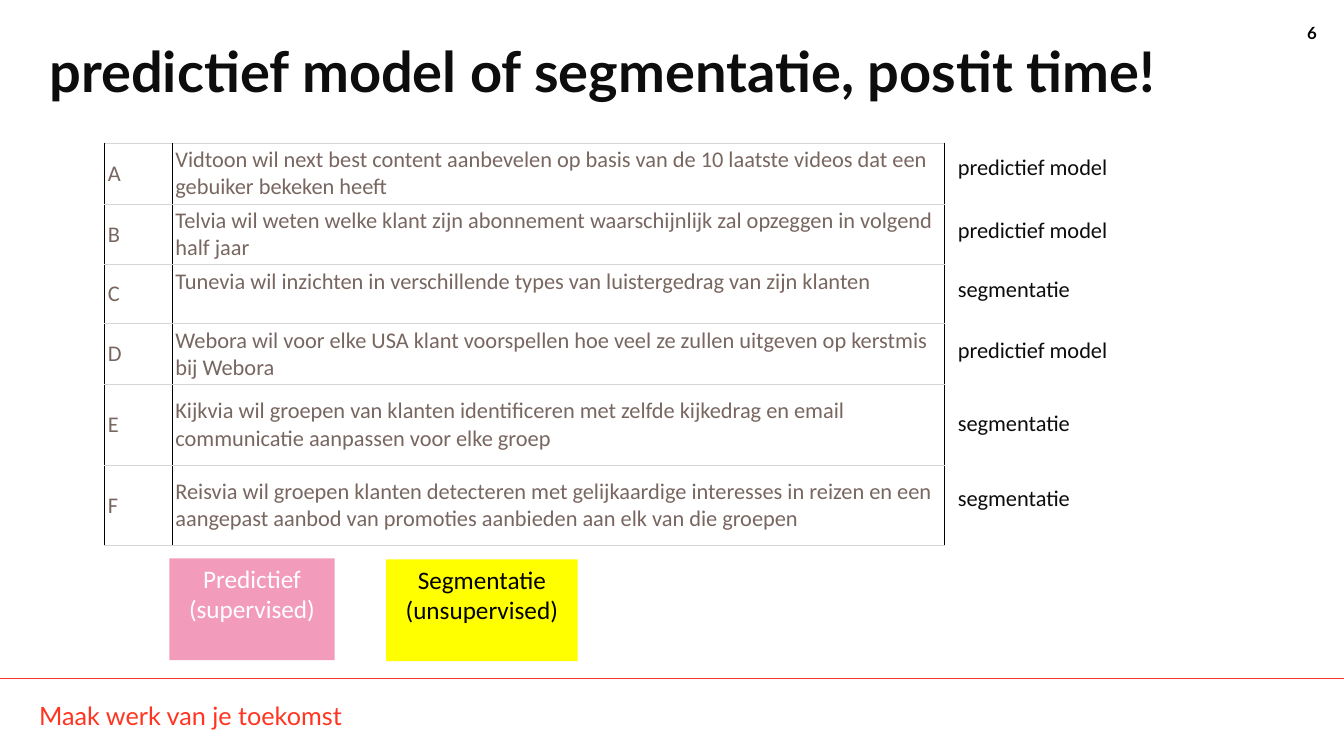
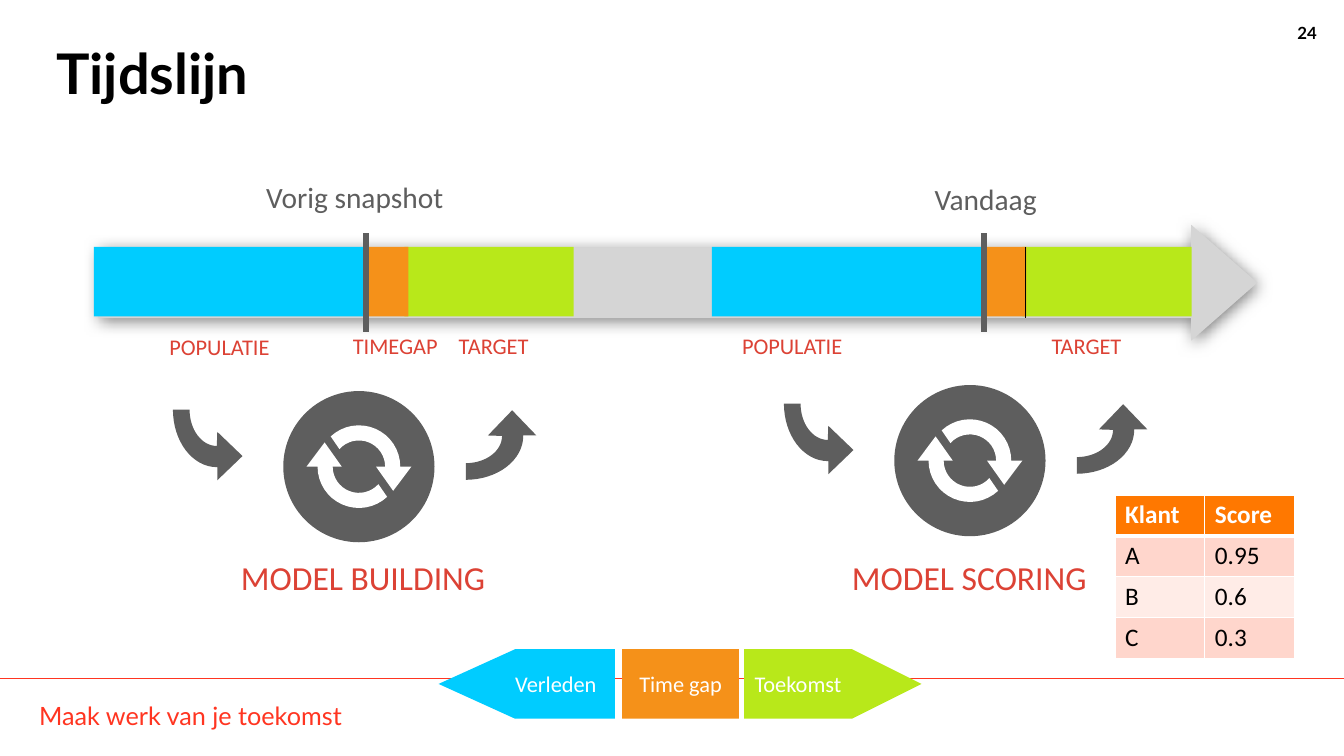
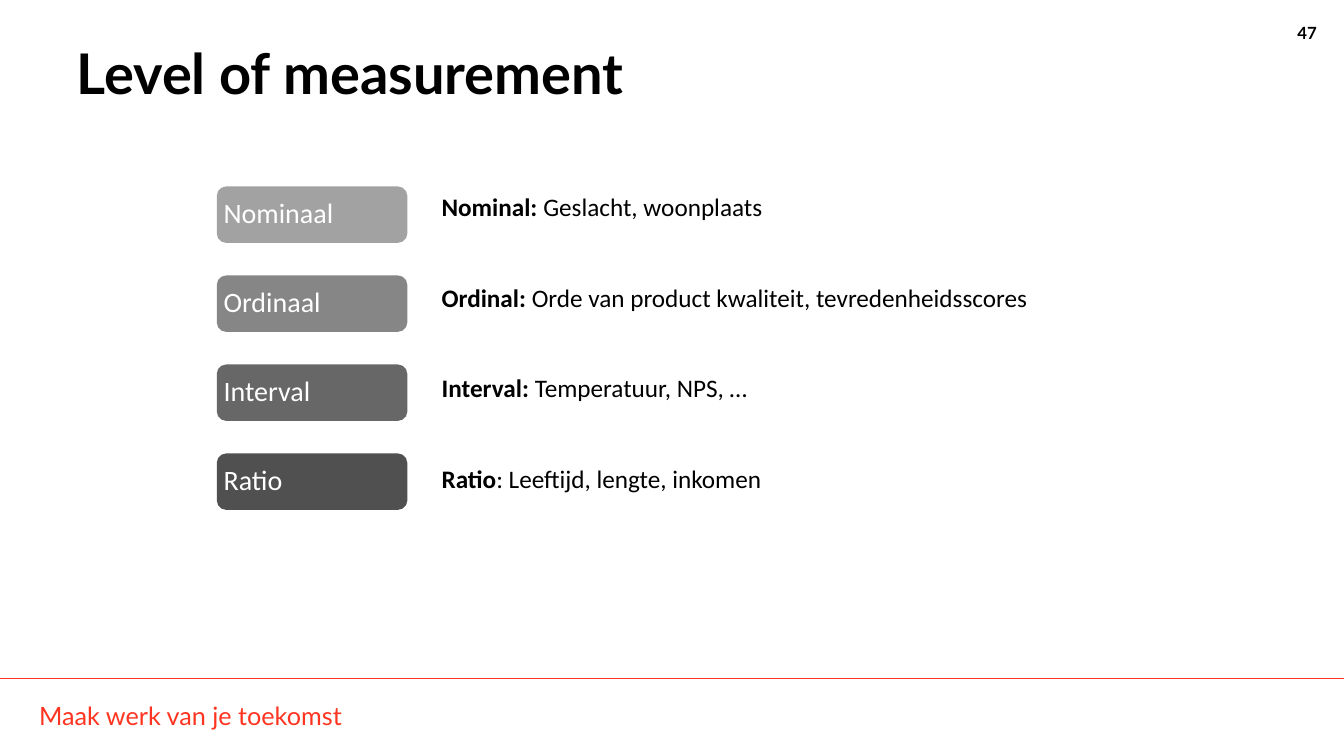
from math import cos, radians, sin

from lxml import etree
from pptx import Presentation
from pptx.dml.color import RGBColor
from pptx.enum.shapes import MSO_CONNECTOR, MSO_SHAPE
from pptx.enum.text import MSO_ANCHOR, MSO_AUTO_SIZE, PP_ALIGN
from pptx.oxml.ns import qn
from pptx.util import Inches, Pt

RECT = MSO_SHAPE.RECTANGLE
ROUNDED = MSO_SHAPE.ROUNDED_RECTANGLE
ARROW = MSO_SHAPE.RIGHT_ARROW
OVAL = MSO_SHAPE.OVAL
STRAIGHT = MSO_CONNECTOR.STRAIGHT
TOP, MIDDLE = MSO_ANCHOR.TOP, MSO_ANCHOR.MIDDLE
LEFT, CENTER, RIGHT = PP_ALIGN.LEFT, PP_ALIGN.CENTER, PP_ALIGN.RIGHT
FIXED_SIZE = MSO_AUTO_SIZE.NONE

BLACK = RGBColor(0x00, 0x00, 0x00)
INK = RGBColor(0x0D, 0x0D, 0x0D)
WHITE = RGBColor(0xFF, 0xFF, 0xFF)
RED = RGBColor(0xFF, 0x35, 0x21)
LABEL_RED = RGBColor(0xDC, 0x42, 0x35)
TAUPE = RGBColor(0x78, 0x66, 0x60)
SILVER = RGBColor(0xD5, 0xD5, 0xD5)
GRAY = RGBColor(0x5E, 0x5E, 0x5E)
PINK = RGBColor(0xF3, 0x9B, 0xBA)
YELLOW = RGBColor(0xFF, 0xFF, 0x00)
BLUE = RGBColor(0x00, 0xCC, 0xFF)
LIME = RGBColor(0xB8, 0xE8, 0x1A)
ORANGE = RGBColor(0xF5, 0x91, 0x19)
HEADER_ORANGE = RGBColor(0xFF, 0x78, 0x00)
BAND_DARK = RGBColor(0xFF, 0xD6, 0xCC)
BAND_LIGHT = RGBColor(0xFF, 0xEC, 0xE7)
LEVEL_GRAYS = [RGBColor(shade, shade, shade) for shade in (0xA2, 0x86, 0x67, 0x50)]

COLUMNS, ROWS = 133.3, 75
TITLE_ONLY, TITLE_AND_BODY = 5, 1


def arc(center, radii, start, end, steps=16):
    angles = [radians(start + (end - start) * i / steps) for i in range(steps + 1)]
    return [(center[0] + radii[0] * cos(a), center[1] + radii[1] * sin(a)) for a in angles]


class Deck:
    head_font = "Lato"
    body_font = "Calibri"

    def __init__(self):
        self.show = Presentation()
        self.show.slide_width, self.show.slide_height = Inches(13.33), Inches(7.5)
        self.column = self.show.slide_width / COLUMNS
        self.row = self.show.slide_height / ROWS
        self.page = None

    def x(self, columns):
        return round(columns * self.column)

    def y(self, rows):
        return round(rows * self.row)

    def place(self, left, top, width, height):
        return self.x(left), self.y(top), self.x(width), self.y(height)

    def move(self, holder, area):
        holder.left, holder.top, holder.width, holder.height = self.place(*area)

    def span(self, para, text, size, color, bold=False, font=None):
        run = para.add_run()
        run.text = text
        run.font.name = font or self.body_font
        run.font.size = Pt(size)
        run.font.bold = bold
        run.font.color.rgb = color

    def frame(self, box, inset=None, anchor=TOP):
        frame = box.text_frame
        frame.word_wrap = True
        frame.auto_size = FIXED_SIZE
        frame.vertical_anchor = anchor
        if inset is not None:
            frame.margin_left = frame.margin_right = self.x(inset)
            frame.margin_top = frame.margin_bottom = self.y(inset)
        return frame

    def paragraphs(self, box, lines, size, color, align=LEFT, inset=None, anchor=TOP,
                   bold=False, font=None):
        frame = self.frame(box, inset, anchor)
        for i, line in enumerate(lines):
            para = frame.add_paragraph() if i else frame.paragraphs[0]
            para.alignment = align
            self.span(para, line, size, color, bold, font)

    def new_page(self, layout, title, number, area, color=BLACK):
        self.page = self.show.slides.add_slide(self.show.slide_layouts[layout])
        self.text((2.9, 69, 85, 4), "Maak werk van je toekomst", 18, RED,
                  font=self.head_font)
        self.line((0, 67.3), (COLUMNS, 67.3), RED, 0.5)
        self.text((126.7, 1.8, 4.9, 3), str(number), 12, BLACK, align=RIGHT, bold=True,
                  font=self.head_font)
        holder = self.page.shapes.title
        self.move(holder, area)
        self.paragraphs(holder, [title], 40, color, bold=True, font=self.head_font)
        holder.text_frame.paragraphs[0].line_spacing = 0.9

    def text(self, area, text, size, color, **style):
        box = self.page.shapes.add_textbox(*self.place(*area))
        self.paragraphs(box, [text], size, color, **style)

    def label(self, left, top, width, text, size=16, color=LABEL_RED):
        height = size * 0.17 + 0.6
        self.text((left, top, width, height), text, size, color, inset=0.3, anchor=MIDDLE)

    def paint(self, shape, fill):
        shape.shadow.inherit = False
        shape.fill.solid()
        shape.fill.fore_color.rgb = fill
        shape.line.fill.background()
        return shape

    def shape(self, kind, area, fill):
        return self.paint(self.page.shapes.add_shape(kind, *self.place(*area)), fill)

    def outline(self, contours, fill):
        rings = [[(self.x(x), self.y(y)) for x, y in contour] for contour in contours]
        builder = self.page.shapes.build_freeform(*rings[0][0])
        for i, points in enumerate(rings):
            if i:
                builder.move_to(*points[0])
            builder.add_line_segments(points[1:], close=True)
        return self.paint(builder.convert_to_shape(), fill)

    def line(self, start, end, color, width):
        line = self.page.shapes.add_connector(
            STRAIGHT, self.x(start[0]), self.y(start[1]), self.x(end[0]), self.y(end[1]))
        line.line.color.rgb = color
        line.line.width = Pt(width)
        etree.SubElement(line._element.spPr, qn("a:effectLst"))

    def soft_shadow(self, shape):
        effects = shape._element.spPr.find(qn("a:effectLst"))
        shadow = etree.SubElement(effects, qn("a:outerShdw"), blurRad=str(Pt(11)),
                                  dist=str(Pt(2)), dir="5400000", rotWithShape="0")
        color = etree.SubElement(shadow, qn("a:srgbClr"), val=str(BLACK))
        etree.SubElement(color, qn("a:alpha"), val="50000")

    def table(self, area, widths, heights):
        table = self.page.shapes.add_table(
            len(heights), len(widths), *self.place(*area)).table
        table.first_row = table.horz_banding = False
        for column, width in zip(table.columns, widths):
            column.width = self.x(width)
        for row, height in zip(table.rows, heights):
            row.height = self.y(height)
        return table

    def cell(self, cell, text, size, color, borders, fill=None, bold=False,
             inset=None, anchor=TOP):
        if inset is not None:
            cell.margin_left = cell.margin_right = self.x(inset)
            cell.margin_top = cell.margin_bottom = self.y(inset)
        cell.vertical_anchor = anchor
        self.span(cell.text_frame.paragraphs[0], text, size, color, bold)
        properties = cell._tc.get_or_add_tcPr()
        for side, (line_color, width) in zip(("lnL", "lnR", "lnT", "lnB"), borders):
            edge = etree.SubElement(properties, qn("a:" + side), w=str(Pt(width)))
            paint = etree.SubElement(edge, qn("a:solidFill"))
            etree.SubElement(paint, qn("a:srgbClr"), val=str(line_color))
        if fill is None:
            cell.fill.background()
        else:
            cell.fill.solid()
            cell.fill.fore_color.rgb = fill

    def swoosh(self, left, top, turn=0):
        corner = (left, top + 2.55)
        points = [(left + 4.6, top), (left + 7, top + 2.5), (left + 5.7, top + 2.5)]
        points += arc(corner, (5.7, 4.35), 0, 90)
        points += arc(corner, (3.6, 2.7), 90, 0)
        points.append((left + 2.2, top + 2.5))
        self.outline([points], GRAY).rotation = turn

    def cycle(self, x, y):
        half = arc((0, 0), (4.1, 4.1), 227, 360)
        half += [(5.2, 0), (3.4, 2.4), (1.7, 0)]
        half += arc((0, 0), (2.6, 2.6), 360, 222)
        self.outline([[(x + sign * dx, y + sign * dy) for dx, dy in half]
                      for sign in (1, -1)], WHITE)

    def model(self, left, top, caption, caption_left):
        self.shape(OVAL, (left, top, 15, 15), GRAY)
        self.swoosh(left - 11, top + 1.9, 90)
        self.swoosh(left + 18.1, top + 1.9)
        self.cycle(left + 7.5, top + 7.5)
        self.label(caption_left, 54.9, 27, caption, 24)

    def definitions(self, area, items, size, gap):
        holder = self.page.placeholders[1]
        self.move(holder, area)
        frame = self.frame(holder)
        for i, (term, rest) in enumerate(items):
            para = frame.add_paragraph() if i else frame.paragraphs[0]
            properties = para._p.get_or_add_pPr()
            properties.set("marL", "0")
            properties.set("indent", "0")
            etree.SubElement(properties, qn("a:buNone"))
            para.space_before = Pt(gap if i else 0)
            self.span(para, term, size, BLACK, True)
            self.span(para, rest, size, BLACK)


def cases_page(deck):
    deck.new_page(TITLE_ONLY, "predictief model of segmentatie, postit time!", 6,
                  (3.9, 3.9, 122.8, 9), INK)
    predictive, segment = "predictief model", "segmentatie"
    cases = [
        ("Vidtoon wil next best content aanbevelen op basis van de 10 laatste videos "
         "dat een gebuiker bekeken heeft", predictive, 14.7, MIDDLE),
        ("Telvia wil weten welke klant zijn abonnement waarschijnlijk zal opzeggen in "
         "volgend half jaar", predictive, 20.9, MIDDLE),
        ("Tunevia wil inzichten in verschillende types van luistergedrag van zijn klanten",
         segment, 26.8, TOP),
        ("Webora wil voor elke USA klant voorspellen hoe veel ze zullen uitgeven op "
         "kerstmis bij Webora", predictive, 32.8, MIDDLE),
        ("Kijkvia wil groepen van klanten identificeren met zelfde kijkedrag en email "
         "communicatie aanpassen voor elke groep", segment, 40.1, MIDDLE),
        ("Reisvia wil groepen klanten detecteren met gelijkaardige interesses in reizen "
         "en een aangepast aanbod van promoties aanbieden aan elk van die groepen",
         segment, 47.5, MIDDLE),
    ]
    table = deck.table((10.4, 14.2, 83.3, 39.4), (6.7, 76.6), [5.85] * 4 + [8] * 2)
    borders = [(BLACK, 0.75)] * 2 + [(SILVER, 0.75)] * 2
    for i, (case, answer, top, anchor) in enumerate(cases):
        deck.cell(table.cell(i, 0), "ABCDEF"[i], 16, TAUPE, borders, inset=0.3,
                  anchor=MIDDLE)
        deck.cell(table.cell(i, 1), case, 16, TAUPE, borders, inset=0.3, anchor=anchor)
        deck.label(94.7, top + 0.2, 20, answer, color=INK)
    notes = [
        ((16.8, 55.4, 16.4, 10.1), PINK, WHITE, ["Predictief", "(supervised)"]),
        ((38.3, 55.5, 19, 10.1), YELLOW, BLACK, ["Segmentatie", "(unsupervised)"]),
    ]
    for area, fill, color, lines in notes:
        deck.paragraphs(deck.shape(RECT, area, fill), lines, 18, color, CENTER)


def timeline_page(deck):
    deck.new_page(TITLE_ONLY, "Tijdslijn", 24, (4.6, 4.1, 122.8, 9))
    arrow = deck.shape(ARROW, (9.8, 22.3, 114.9, 11.5), SILVER)
    arrow.adjustments[0], arrow.adjustments[1] = 0.61, 0.57
    deck.soft_shadow(arrow)
    for shift in (0, 61.3):
        for left, width, fill in ((9.3, 27.1, BLUE), (40.1, 16.8, LIME), (36.2, 4.3, ORANGE)):
            deck.shape(RECT, (left + shift, 24.5, width, 6.9), fill)
        deck.line((36.3 + shift, 32.9), (36.3 + shift, 23.1), GRAY, 4)
    deck.line((101.7, 31.5), (101.7, 24.5), BLACK, 0.5)
    deck.label(26.1, 17.4, 22, "Vorig snapshot", 21, GRAY)
    deck.label(92.4, 17.6, 16, "Vandaag", 21, GRAY)
    for left, top, text in ((16.5, 32.7, "POPULATIE"), (34.7, 32.6, "TIMEGAP"),
                            (45.2, 32.6, "TARGET"), (73.3, 32.6, "POPULATIE"),
                            (104, 32.6, "TARGET")):
        deck.label(left, top, 16, text)
    deck.model(28.1, 38.8, "MODEL BUILDING", 23.6)
    deck.model(88.7, 38.2, "MODEL SCORING", 84.2)

    legend_top, legend_height = 64.4, 6.9
    middle, bottom = legend_top + legend_height / 2, legend_top + legend_height
    for tip, base, fill in ((43.5, 51.1, BLUE), (91.4, 84.5, LIME)):
        deck.outline([[(tip, middle), (base, legend_top), (base, bottom)]], fill)
    for left, width, fill, text, align in ((51.1, 9.9, BLUE, "Verleden", LEFT),
                                           (61.7, 11.6, ORANGE, "Time gap", CENTER),
                                           (73.8, 10.7, LIME, "Toekomst", CENTER)):
        box = deck.shape(RECT, (left, legend_top, width, legend_height), fill)
        deck.paragraphs(box, [text], 16, WHITE, align, 0, MIDDLE)

    scores = [("Klant", "Score"), ("A", "0.95"), ("B", "0.6"), ("C", "0.3")]
    table = deck.table((110.6, 49.1, 17.8, 16.2), (8.9, 8.9), [4.05] * 4)
    for i, values in enumerate(scores):
        header = i == 0
        fill = HEADER_ORANGE if header else BAND_DARK if i % 2 else BAND_LIGHT
        borders = [(WHITE, 1), (WHITE, 1), (WHITE, 3 if i == 1 else 1),
                   (WHITE, 3 if header else 1)]
        for j, value in enumerate(values):
            deck.cell(table.cell(i, j), value, 18, WHITE if header else BLACK, borders,
                      fill, header)


def levels_page(deck):
    deck.new_page(TITLE_AND_BODY, "Level of measurement", 47, (6.6, 4.1, 123.1, 9))
    levels = ("Nominaal", "Ordinaal", "Interval", "Ratio")
    for i, (level, fill) in enumerate(zip(levels, LEVEL_GRAYS)):
        box = deck.shape(ROUNDED, (21.5, 18.5 + 8.83 * i, 18.9, 5.6), fill)
        deck.paragraphs(box, [level], 20, WHITE, inset=0.4, anchor=MIDDLE)
        box.text_frame.paragraphs[0].line_spacing = 0.9
    deck.definitions((42.8, 18.5, 66.7, 34.3), [
        ("Nominal: ", "Geslacht, woonplaats"),
        ("Ordinal: ", "Orde van product kwaliteit, tevredenheidsscores"),
        ("Interval: ", "Temperatuur, NPS, …"),
        ("Ratio", ": Leeftijd, lengte, inkomen"),
    ], 18, 43)


def main():
    deck = Deck()
    cases_page(deck)
    timeline_page(deck)
    levels_page(deck)
    deck.show.save("out.pptx")


if __name__ == "__main__":
    main()
